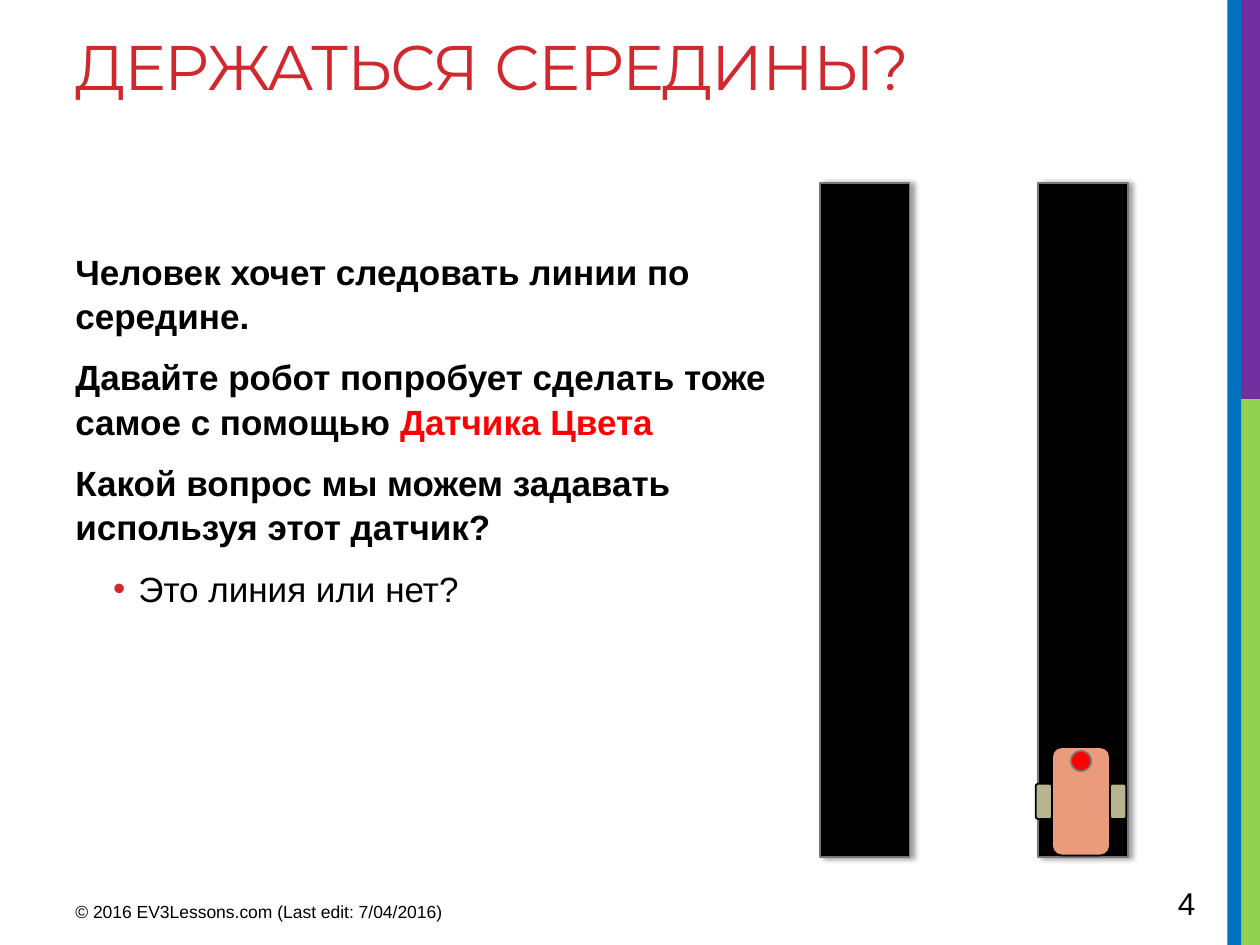
from dataclasses import dataclass

from lxml import etree
from pptx import Presentation
from pptx.dml.color import RGBColor
from pptx.enum.shapes import MSO_SHAPE
from pptx.enum.text import MSO_ANCHOR
from pptx.oxml.ns import qn
from pptx.util import Inches, Pt

RECT, ROUND, OVAL = MSO_SHAPE.RECTANGLE, MSO_SHAPE.ROUNDED_RECTANGLE, MSO_SHAPE.OVAL
TOP, MIDDLE = MSO_ANCHOR.TOP, MSO_ANCHOR.MIDDLE


@dataclass(frozen=True)
class Theme:
    head: str = "Montserrat"
    body: str = "Arial"
    title: int = 36
    main: int = 20
    page: int = 18
    foot: int = 10
    brand: str = "D1282E"
    ink: str = "000000"
    alert: str = "FF0000"
    blue: str = "0070C0"
    green: str = "92D050"
    violet: str = "7030A0"
    edge: str = "777777"
    skin: str = "EA9B7C"
    wheel: str = "B6B590"


T = Theme()
WIDE, HIGH = 10, 7.5
CELL = 0.1  # the grid has 100 columns and 75 rows

TITLE = "ДЕРЖАТЬСЯ СЕРЕДИНЫ?"
FOOT = "© 2016 EV3Lessons.com (Last edit: 7/04/2016)"
PAGE = "4"
# Each paragraph is a list of (text, colour) runs
POINTS = [
    [("Человек хочет следовать линии по середине.", T.ink)],
    [("Давайте робот попробует сделать тоже самое с помощью ", T.ink),
     ("Датчика Цвета", T.alert)],
    [("Какой вопрос мы можем задавать используя этот датчик?", T.ink)],
]
ANSWER = [("Это линия или нет?", T.ink)]

# Places are column, row, columns wide, rows high
BARS = [
    ((98, 0, 2, 31.7), T.violet),
    ((98.4, 31.7, 1.6, 43.3), T.green),
    ((97.4, 0, 1.1, 75), T.blue),
]
TRACKS = [65.1, 82.4]
MID = 85.8  # centre column of the robot
ROBOT = [  # kind, offset from centre, row, width, height, fill, line
    (ROUND, 0, 59.3, 4.6, 8.6, T.skin, T.ink),
    (ROUND, 2.95, 62.2, 1.3, 2.8, T.wheel, T.ink),
    (ROUND, -2.95, 62.2, 1.3, 2.8, T.wheel, T.ink),
    (OVAL, 0, 59.6, 1.6, 1.6, T.alert, T.edge),
]


def grid(place):
    return [Inches(n * CELL) for n in place]


def draw(home, kind, place, fill, line=None):
    shape = home.add_shape(kind, *grid(place))
    shape.shadow.inherit = False
    shape.fill.solid()
    shape.fill.fore_color.rgb = RGBColor.from_string(fill)
    if line:
        shape.line.color.rgb = RGBColor.from_string(line)
        shape.line.width = Pt(1)
    else:
        shape.line.fill.background()
    return shape


def shade(shape):
    """Cast a soft shadow to the right."""
    effects = shape._element.spPr.find(qn("a:effectLst"))
    outer = etree.SubElement(effects, qn("a:outerShdw"), blurRad=str(Pt(3.1)),
                             dist=str(Pt(1.8)), dir="0", algn="ctr", rotWithShape="0")
    tint = etree.SubElement(outer, qn("a:srgbClr"), val=T.ink)
    etree.SubElement(tint, qn("a:alpha"), val="40000")


def frame(slide, place, anchor=TOP):
    text = slide.shapes.add_textbox(*grid(place)).text_frame
    text.word_wrap = True
    text.vertical_anchor = anchor
    return text


def write(para, runs, size, face=T.body, bold=False):
    for words, tint in runs:
        run = para.add_run()
        run.text = words
        font = run.font
        font.name, font.size, font.bold = face, Pt(size), bold
        font.color.rgb = RGBColor.from_string(tint)


def bullet(para):
    props = para._p.get_or_add_pPr()
    props.set("marL", str(Inches(0.5)))
    props.set("indent", str(Inches(-0.2)))
    tint = etree.SubElement(props, qn("a:buClr"))
    etree.SubElement(tint, qn("a:srgbClr"), val=T.brand)
    etree.SubElement(props, qn("a:buFont"), typeface=T.body)
    etree.SubElement(props, qn("a:buChar"), char="•")


def main():
    deck = Presentation()
    deck.slide_width, deck.slide_height = Inches(WIDE), Inches(HIGH)
    slide = deck.slides.add_slide(deck.slide_layouts[6])
    shapes = slide.shapes

    for place, fill in BARS:
        draw(shapes, RECT, place, fill)

    para = frame(slide, (5, 1.7, 90.2, 15)).paragraphs[0]
    write(para, [(TITLE, T.brand)], T.title, T.head)
    for run in para.runs:
        run.font._element.set("spc", "-60")

    text = frame(slide, (5, 19.2, 57, 47.8))
    for n, runs in enumerate(POINTS + [ANSWER]):
        para = text.add_paragraph() if n else text.paragraphs[0]
        para.line_spacing = 1.05
        para.space_before = Pt(4 if n else 0)
        para.space_after = Pt(6)
        if runs is ANSWER:
            bullet(para)
        write(para, runs, T.main, bold=runs is not ANSWER)

    write(frame(slide, (5, 71, 37.5, 3.1)).paragraphs[0], [(FOOT, T.ink)], T.foot)
    write(frame(slide, (92.5, 69.7, 6.9, 4), MIDDLE).paragraphs[0],
          [(PAGE, T.ink)], T.page)

    for left in TRACKS:
        shade(draw(shapes, RECT, (left, 14.5, 7.1, 53.5), T.ink, T.edge))

    robot = shapes.add_group_shape().shapes
    for kind, off, row, wide, high, fill, line in ROBOT:
        draw(robot, kind, (MID + off - wide / 2, row, wide, high), fill, line)

    deck.save("out.pptx")


if __name__ == "__main__":
    main()
